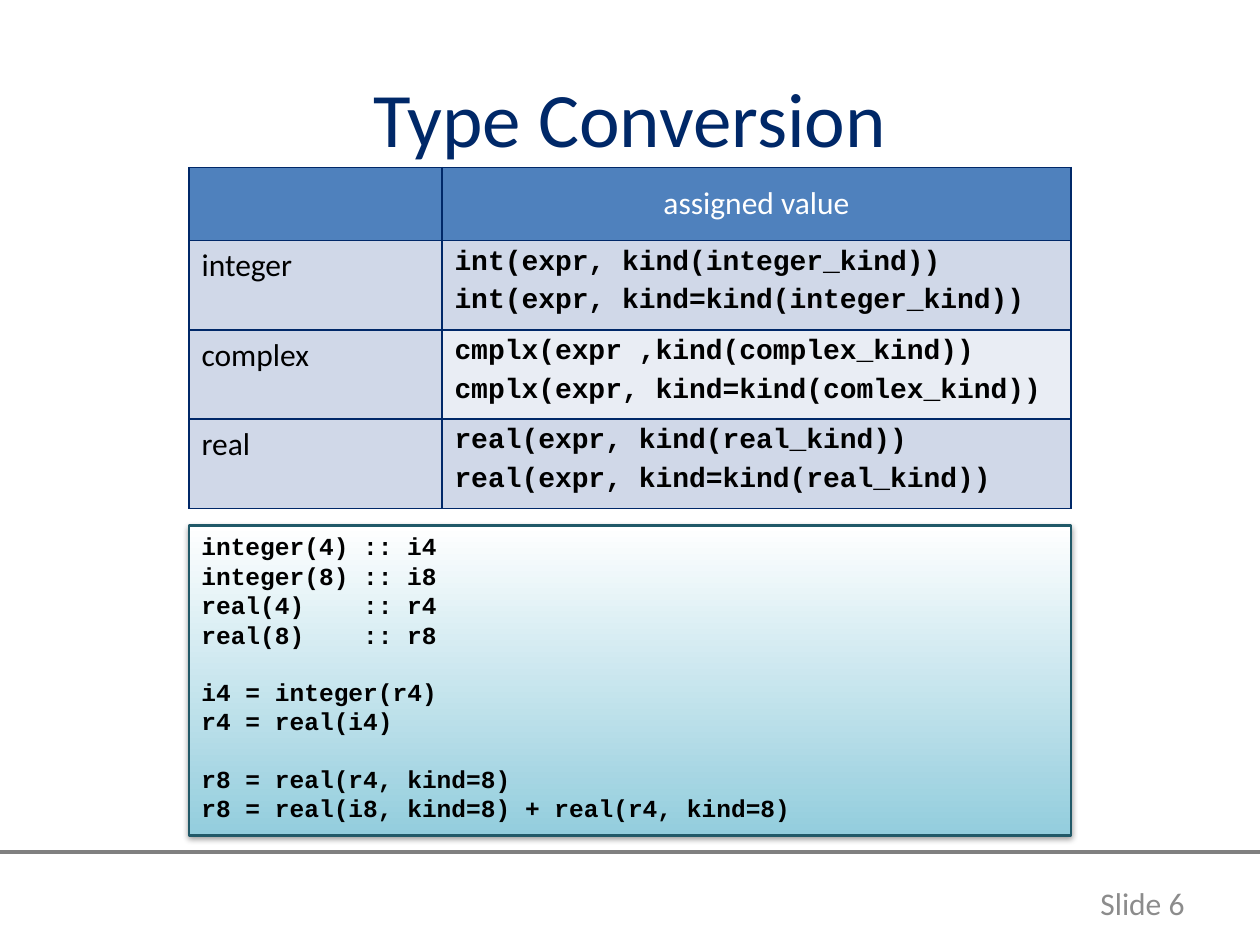
from dataclasses import dataclass

import pptx
import pptx.dml.color
import pptx.enum.shapes
import pptx.enum.text
import pptx.oxml
import pptx.oxml.ns
import pptx.util

Cm, Pt = pptx.util.Cm, pptx.util.Pt
ALIGN = pptx.enum.text.PP_ALIGN
MIDDLE = pptx.enum.text.MSO_ANCHOR.MIDDLE
NAVY = "002868"
LEFT, WIDTH = 3.81, 17.78
COLS = (5.1, 12.68)
HEAD, ROW = 1.47, 1.8

TITLE = {"name": "Calibri", "size": Pt(44), "bold": False}
LABEL = {"name": "Calibri", "size": Pt(18), "bold": False}
CALL = {"name": "Courier New", "size": Pt(16), "bold": True}
CODE = {"name": "Courier New", "size": Pt(14), "bold": True}


@dataclass
class Kind:
    """One table row: a type, its calls and the fill behind them."""
    name: str
    calls: tuple[str, ...]
    fill: str


KINDS = [
    Kind("integer", ("int(expr, kind(integer_kind))",
                     "int(expr, kind=kind(integer_kind))"), "D0D8E8"),
    Kind("complex", ("cmplx(expr ,kind(complex_kind))",
                     "cmplx(expr, kind=kind(comlex_kind))"), "E9EDF4"),
    Kind("real", ("real(expr, kind(real_kind))",
                  "real(expr, kind=kind(real_kind))"), "D0D8E8"),
]
BLOCKS = [
    ("integer(4)\t:: i4", "integer(8)\t:: i8", "real(4)\t:: r4", "real(8)\t:: r8"),
    ("i4 = integer(r4)", "r4 = real(i4)"),
    ("r8 = real(r4, kind=8)", "r8 = real(i8, kind=8) + real(r4, kind=8)"),
]


def paint(target, color: str) -> None:
    """Give a colour to a colour format."""
    target.rgb = pptx.dml.color.RGBColor.from_string(color)


def fill(target, color: str) -> None:
    """Give a solid fill."""
    target.fill.solid()
    paint(target.fill.fore_color, color)


def add_xml(parent, body: str, index: int | None = None) -> None:
    """Insert a drawing element into a parent, at the end by default."""
    tag, rest = body.split(" ", 1)
    space = pptx.oxml.ns.nsdecls("a")
    node = pptx.oxml.parse_xml(f"<a:{tag} {space} {rest}")
    parent.insert(len(parent) if index is None else index, node)


def write(frame, lines, style: dict, color: str = "000000",
          align=ALIGN.LEFT, gap: float = 0) -> list:
    """Write lines as paragraphs, with a gap between them in points."""
    paras = []
    for num, line in enumerate(lines):
        para = frame.add_paragraph() if num else frame.paragraphs[0]
        para.alignment = align
        para.space_before = Pt(gap if num else 0)
        run = para.add_run()
        run.text = line
        for key, value in style.items():
            setattr(run.font, key, value)
        paint(run.font.color, color)
        paras.append(para)
    return paras


def border(cell) -> None:
    """Draw the four borders of a cell."""
    for num, side in enumerate("LRTB"):
        add_xml(cell._tc.get_or_add_tcPr(),
                f'ln{side} w="12700"><a:solidFill><a:srgbClr val="{NAVY}"/>'
                f'</a:solidFill></a:ln{side}>', num)


def add_kinds(slide) -> None:
    """Draw the table of conversion calls."""
    grid = slide.shapes.add_table(
        len(KINDS) + 1, len(COLS), Cm(LEFT), Cm(3.38), Cm(WIDTH),
        Cm(HEAD + ROW * len(KINDS))).table
    grid.horz_banding = False
    for col, width in zip(grid.columns, COLS):
        col.width = Cm(width)
    for num, row in enumerate(grid.rows):
        row.height = Cm(ROW if num else HEAD)
    for col in range(len(COLS)):
        fill(grid.cell(0, col), "4F81BD")
    head = grid.cell(0, 1)
    head.vertical_anchor = MIDDLE
    write(head.text_frame, ["assigned value"], LABEL, "FFFFFF", ALIGN.CENTER)
    for num, kind in enumerate(KINDS, 1):
        name, calls = grid.cell(num, 0), grid.cell(num, 1)
        fill(name, "D0D8E8")
        fill(calls, kind.fill)
        write(name.text_frame, [kind.name], LABEL)
        write(calls.text_frame, kind.calls, CALL, gap=4)
    for cell in grid.iter_cells():
        border(cell)


def add_code(slide) -> None:
    """Draw the shaded box with the code sample."""
    box = slide.shapes.add_shape(
        pptx.enum.shapes.MSO_SHAPE.RECTANGLE,
        Cm(LEFT), Cm(10.59), Cm(WIDTH), Cm(6.25))
    box.fill.gradient()
    box.fill.gradient_angle = 270
    for stop, color in zip(box.fill.gradient_stops, ("FFFFFF", "93CDDD")):
        paint(stop.color, color)
    paint(box.line.color, "215968")
    box.line.width = Pt(1.5)
    box.shadow.inherit = False
    add_xml(box._element.spPr.find(pptx.oxml.ns.qn("a:effectLst")),
            'outerShdw blurRad="39370" dist="20320" dir="5400000" rotWithShape="0">'
            '<a:srgbClr val="000000"><a:alpha val="38000"/></a:srgbClr></a:outerShdw>')
    frame = box.text_frame
    frame.word_wrap = True
    frame.vertical_anchor = pptx.enum.text.MSO_ANCHOR.TOP
    paras = write(frame, [line for block in BLOCKS for line in block], CODE)
    start = 0
    for block in BLOCKS[:-1]:
        start += len(block)
        paras[start].space_before = Pt(15.9)
    for para in paras[:len(BLOCKS[0])]:
        add_xml(para._p.get_or_add_pPr(),
                f'tabLst ><a:tab pos="{Cm(3.26)}" algn="l"/></a:tabLst>')


def add_foot(slide) -> None:
    """Draw the rule and the slide number."""
    rule = slide.shapes.add_connector(
        pptx.enum.shapes.MSO_CONNECTOR.STRAIGHT,
        Cm(0), Cm(17.17), Cm(25.4), Cm(17.17))
    paint(rule.line.color, "808080")
    rule.line.width = Pt(2)
    add_xml(rule._element.spPr, "effectLst />")
    frame = slide.shapes.add_textbox(
        Cm(21.36), Cm(17.7), Cm(2.77), Cm(1.02)).text_frame
    frame.word_wrap = True
    frame.vertical_anchor = MIDDLE
    write(frame, ["Slide 6"], LABEL, "8C8C8C", ALIGN.RIGHT)


def add_title(slide) -> None:
    """Place and write the title."""
    title = slide.shapes.title
    place = {"left": 1.27, "top": 0.76, "width": 22.86, "height": 3.18}
    for key, value in place.items():
        setattr(title, key, Cm(value))
    title.text_frame.vertical_anchor = MIDDLE
    write(title.text_frame, ["Type Conversion"], TITLE, NAVY, ALIGN.CENTER)


def main() -> None:
    """Build the slide and save it."""
    deck = pptx.Presentation()
    deck.slide_width, deck.slide_height = Cm(25.4), Cm(19.05)
    slide = deck.slides.add_slide(deck.slide_layouts[5])
    for draw in (add_foot, add_title, add_kinds, add_code):
        draw(slide)
    deck.save("out.pptx")


main()
